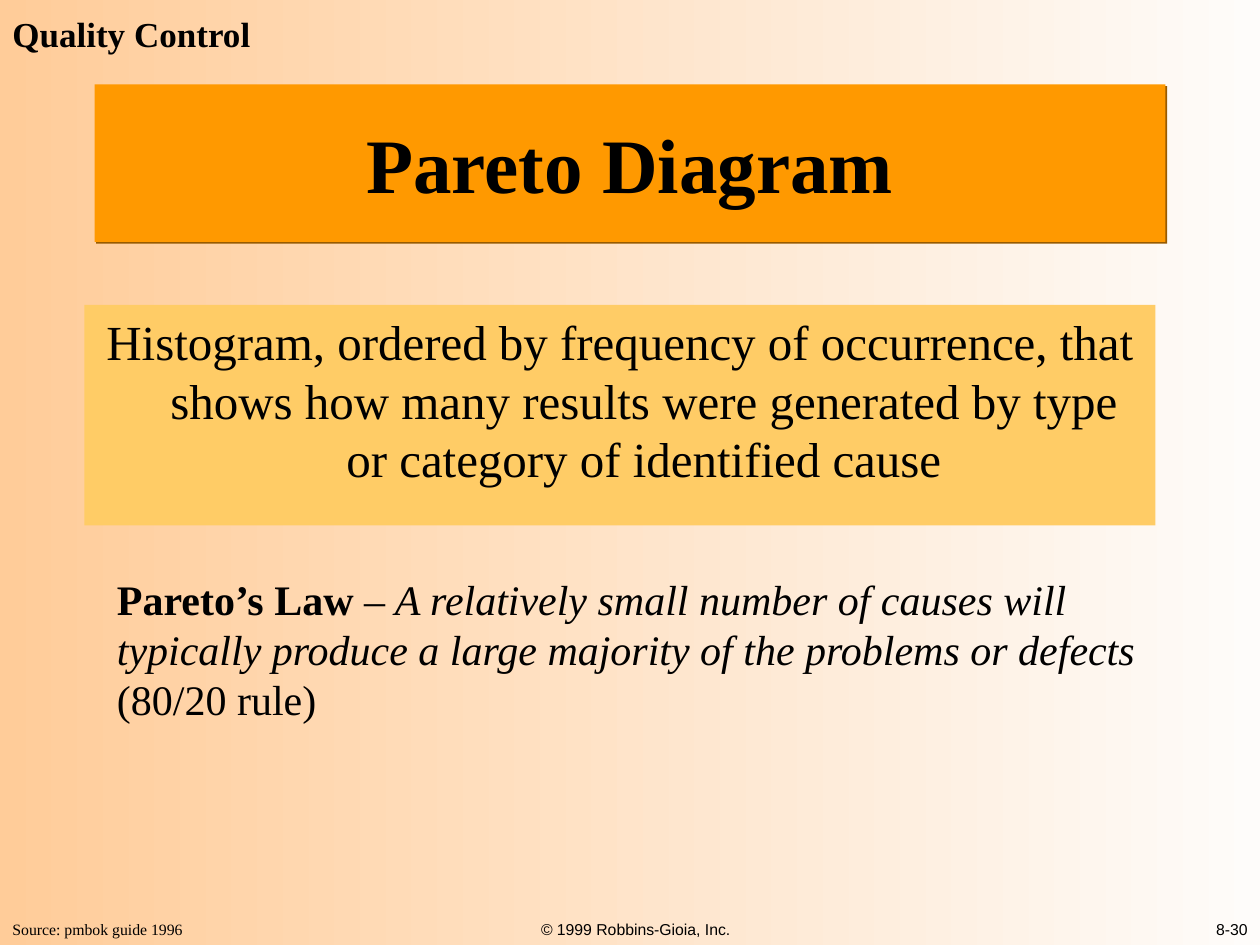
import pptx
import pptx.dml.color
import pptx.enum.text
import pptx.oxml
import pptx.oxml.ns
import pptx.util
from pptx.util import Inches

ALIGN = pptx.enum.text.PP_ALIGN
ANCHOR = pptx.enum.text.MSO_ANCHOR
COLORS = {
    "text": "000000",
    "title": "FF9900",
    "title_shadow": "985B00",
    "definition": "FFCC66",
    "background_right": "FEFCFA",
    "background_left": "FFCC99",
}


def rgb(name):
    return pptx.dml.color.RGBColor.from_string(COLORS[name])


class SlideBuilder:
    """Holds the style and the current slide, and adds each kind of element."""

    serif = "Times New Roman"
    sans = "Arial"

    def __init__(self, deck):
        self.slide = deck.slides.add_slide(deck.slide_layouts[1])

    def background(self, right, left):
        fill = self.slide.background.fill
        fill.gradient()
        fill.gradient_angle = 180
        for stop, name in zip(fill.gradient_stops, (right, left)):
            stop.color.rgb = rgb(name)

    def place(self, shape, area):
        shape.left, shape.top, shape.width, shape.height = map(Inches, area)

    def format_span(self, span, size, font=None, bold=False, italic=False):
        span.font.size = pptx.util.Pt(size)
        span.font.name = font or self.serif
        span.font.bold = bold
        span.font.italic = italic
        span.font.color.rgb = rgb("text")

    def panel(self, shape, area, fill, text, size, anchor, bold=False):
        self.place(shape, area)
        shape.fill.solid()
        shape.fill.fore_color.rgb = rgb(fill)
        frame = shape.text_frame
        frame.text = text
        frame.word_wrap = True
        frame.auto_size = pptx.enum.text.MSO_AUTO_SIZE.NONE
        frame.vertical_anchor = anchor
        para = frame.paragraphs[0]
        para.alignment = ALIGN.CENTER
        para.space_before = pptx.util.Pt(0)
        self.format_span(para.runs[0], size, bold=bold)
        return para

    def title(self, text, area):
        shape = self.slide.shapes.title
        self.panel(shape, area, "title", text, 44, ANCHOR.MIDDLE, bold=True)
        shape._element.spPr.append(pptx.oxml.parse_xml(
            f'<a:effectLst {pptx.oxml.ns.nsdecls("a")}>'
            '<a:outerShdw dist="17780" dir="2700000" algn="ctr" rotWithShape="0">'
            f'<a:srgbClr val="{COLORS["title_shadow"]}"/>'
            '</a:outerShdw></a:effectLst>'))

    def body(self, text, area):
        para = self.panel(self.slide.placeholders[1], area, "definition",
                          text, 28, ANCHOR.TOP)
        properties = para._p.get_or_add_pPr()
        properties.set("marL", str(Inches(0.38)))
        properties.set("indent", str(Inches(-0.38)))
        properties.append(pptx.oxml.parse_xml(
            f'<a:buNone {pptx.oxml.ns.nsdecls("a")}/>'))

    def text(self, spans, area, size, font=None, align=ALIGN.LEFT,
             anchor=ANCHOR.TOP, wrap=True):
        box = self.slide.shapes.add_textbox(*map(Inches, area))
        frame = box.text_frame
        frame.word_wrap = wrap
        frame.vertical_anchor = anchor
        para = frame.paragraphs[0]
        para.alignment = align
        for words, style in spans:
            span = para.add_run()
            span.text = words
            self.format_span(span, size, font, **style)

    def footer(self, words, left, align):
        self.text([(words, {})], (left, 7, 3.25, 0.5), 9, self.sans,
                  align, ANCHOR.BOTTOM)


def main():
    deck = pptx.Presentation()
    deck.slide_width, deck.slide_height = Inches(10), Inches(7.5)
    page = SlideBuilder(deck)
    page.background("background_right", "background_left")
    page.title("Pareto Diagram", (0.75, 0.67, 8.5, 1.25))
    page.body("Histogram, ordered by frequency of occurrence, that shows how "
              "many results were generated by type or category of identified "
              "cause", (0.67, 2.42, 8.5, 1.75))
    page.text([("Quality Control", {"bold": True})],
              (0, 0.05, 2.09, 0.44), 20, wrap=False)
    page.text([
        ("Pareto’s Law", {"bold": True}),
        (" – A relatively small number of causes will typically produce a "
         "large majority of the problems or defects ", {"italic": True}),
        ("(80/20 rule)", {}),
    ], (0.83, 4.5, 8.33, 1.7), 24)
    page.text([("Source: pmbok guide 1996", {})],
              (0, 7.25, 1.55, 0.25), 9, wrap=False)
    page.footer("© 1999 Robbins-Gioia, Inc.", 3.42, ALIGN.CENTER)
    page.footer("8-30", 6.75, ALIGN.RIGHT)
    deck.save("out.pptx")


if __name__ == "__main__":
    main()
